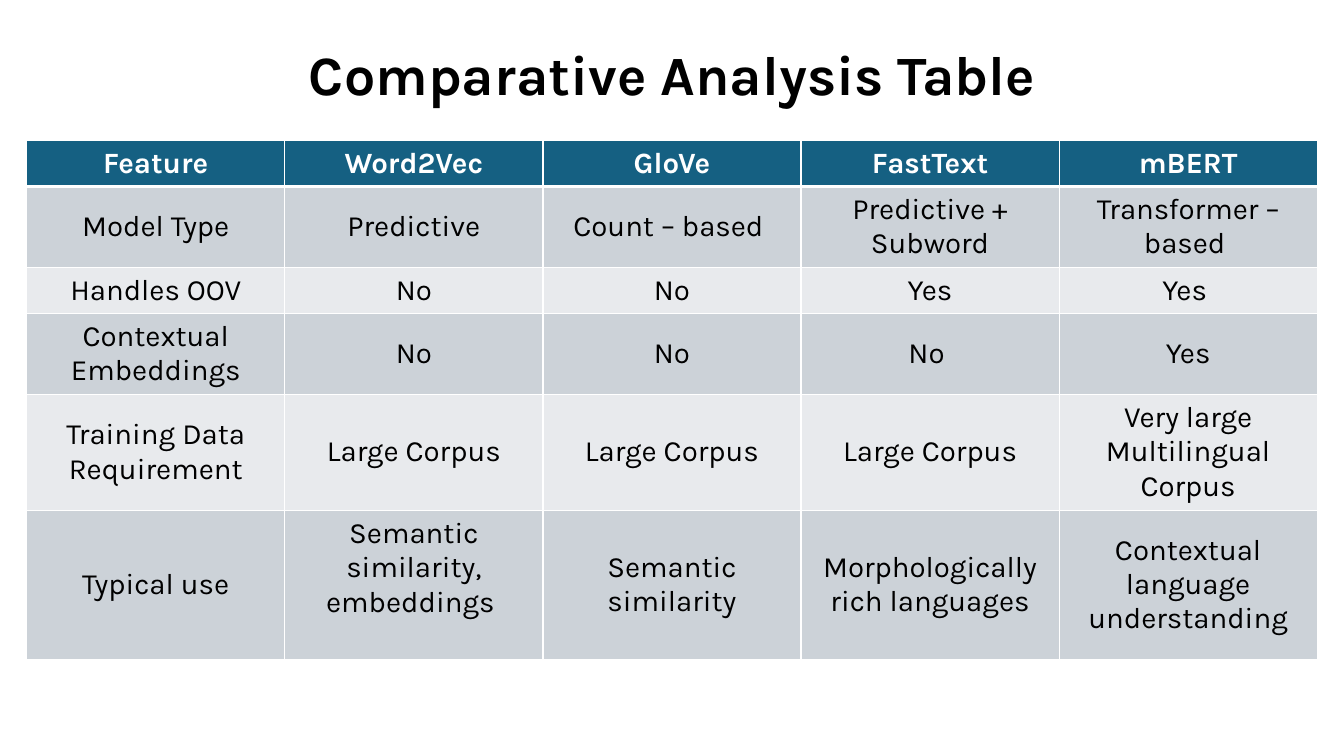
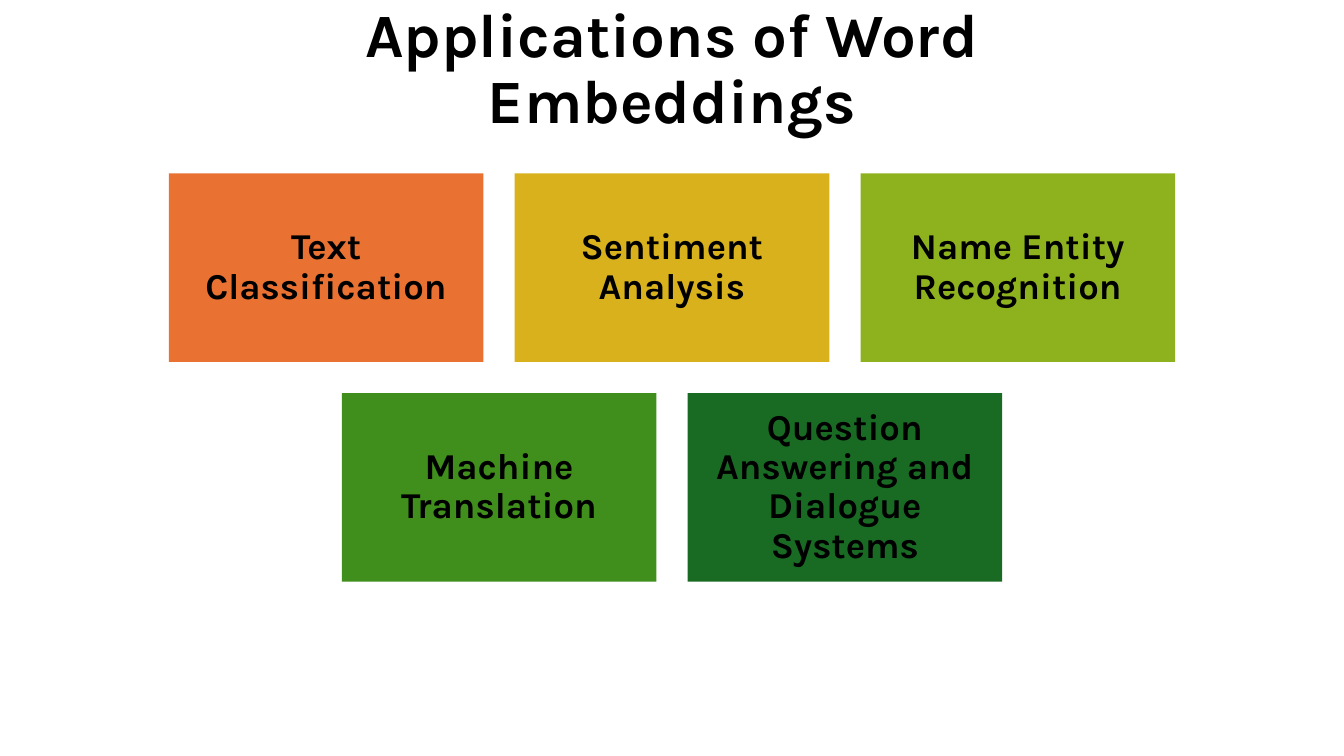
from lxml import etree
from pptx import Presentation
from pptx.dml.color import RGBColor
from pptx.enum.shapes import MSO_SHAPE
from pptx.enum.text import MSO_ANCHOR, PP_ALIGN
from pptx.oxml.ns import qn
from pptx.util import Inches, Pt

RECT = MSO_SHAPE.RECTANGLE
MIDDLE = MSO_ANCHOR.MIDDLE
CENTER = PP_ALIGN.CENTER
FONT = "Karla"
W, H = 13.33, 7.5
COLORS = {
    "white": "FFFFFF", "black": "000000", "header": "156082",
    "dark_band": "CCD2D8", "light_band": "E8EAED",
    "orange": "E97132", "gold": "D8B11D", "lime": "8EB21E",
    "green": "408E1C", "forest": "196B24",
}

COL_W = 2.56
LINE_H, ROW_PAD = 0.33, 0.13
ROW_LINES = (1, 2, 1, 2, 3, 4)
TABLE = (
    ("Feature", "Word2Vec", "GloVe", "FastText", "mBERT"),
    ("Model Type", "Predictive", "Count – based ", "Predictive + Subword", "Transformer – based "),
    ("Handles OOV", "No", "No", "Yes", "Yes "),
    ("Contextual Embeddings", "No", "No", "No ", "Yes"),
    ("Training Data Requirement", "Large Corpus", "Large Corpus", "Large Corpus",
     "Very large Multilingual Corpus"),
    ("Typical use", "Semantic similarity, embeddings ", "Semantic similarity",
     "Morphologically rich languages", "Contextual language understanding"),
)

TILE_W, TILE_H, GAP = 3.12, 1.87, 0.31
TILE_ROWS = (
    (("Text Classification", "orange"), ("Sentiment Analysis", "gold"),
     ("Name Entity Recognition", "lime")),
    (("Machine Translation", "green"),
     ("Question Answering and Dialogue Systems", "forest")),
)


def rgb(name):
    """Return the named palette colour."""
    return RGBColor.from_string(COLORS[name])


def write(tf, text, size, color="black", bold=True, spacing=None):
    """Write one centred run in the first paragraph of a text frame."""
    tf.word_wrap = True
    p = tf.paragraphs[0]
    p.alignment = CENTER
    if spacing:
        p.line_spacing = spacing
    r = p.add_run()
    r.text = text
    r.font.name, r.font.size, r.font.bold = FONT, Pt(size), bold
    r.font.color.rgb = rgb(color)


def add_title(s, text, size, top, width, height):
    """Add a title centred across the slide."""
    box = s.shapes.add_textbox(Inches((W - width) / 2), Inches(top), Inches(width), Inches(height))
    box.text_frame.vertical_anchor = MIDDLE
    write(box.text_frame, text, size, spacing=0.9)


def set_borders(cell, top=1, bottom=1):
    """Draw white borders, in points, around a table cell."""
    tc_pr = cell._tc.get_or_add_tcPr()
    for side, width in (("L", 1), ("R", 1), ("T", top), ("B", bottom)):
        ln = etree.SubElement(tc_pr, qn(f"a:ln{side}"), w=str(Pt(width)))
        fill = etree.SubElement(ln, qn("a:solidFill"))
        etree.SubElement(fill, qn("a:srgbClr"), val=COLORS["white"])


def fill_cell(cell, text, row):
    """Style and write one cell according to its row."""
    set_borders(cell, top=3 if row == 1 else 1, bottom=3 if row == 0 else 1)
    band = "header" if row == 0 else "dark_band" if row % 2 else "light_band"
    cell.fill.solid()
    cell.fill.fore_color.rgb = rgb(band)
    cell.vertical_anchor = MIDDLE
    write(cell.text_frame, text, 21, "black" if row else "white", bold=row == 0)


def add_comparison(s, top):
    """Add the comparison table with rows sized by their line count."""
    cols = len(TABLE[0])
    width = COL_W * cols
    heights = [ROW_PAD + LINE_H * n for n in ROW_LINES]
    table = s.shapes.add_table(len(TABLE), cols, Inches((W - width) / 2), Inches(top),
                               Inches(width), Inches(sum(heights))).table
    for col in table.columns:
        col.width = Inches(COL_W)
    for i, texts in enumerate(TABLE):
        table.rows[i].height = Inches(heights[i])
        for j, text in enumerate(texts):
            fill_cell(table.cell(i, j), text, i)
    table.cell(len(TABLE) - 1, 1).margin_bottom = Inches(0.05 + LINE_H)


def add_tile(s, text, color, x, y):
    """Add one coloured tile with a centred label."""
    sp = s.shapes.add_shape(RECT, Inches(x), Inches(y), Inches(TILE_W), Inches(TILE_H))
    sp.shadow.inherit = False
    sp.fill.solid()
    sp.fill.fore_color.rgb = rgb(color)
    sp.line.fill.background()
    tf = sp.text_frame
    tf.vertical_anchor = MIDDLE
    tf.margin_left = tf.margin_right = tf.margin_top = tf.margin_bottom = Inches(0.11)
    write(tf, text, 26, spacing=0.9)


def add_tiles(s, top):
    """Lay out the tile rows, each centred on the slide."""
    for i, tiles in enumerate(TILE_ROWS):
        left = (W - len(tiles) * (TILE_W + GAP) + GAP) / 2
        for j, (text, color) in enumerate(tiles):
            add_tile(s, text, color, left + j * (TILE_W + GAP), top + i * (TILE_H + GAP))


def main():
    """Build and save both slides."""
    prs = Presentation()
    prs.slide_width, prs.slide_height = Inches(W), Inches(H)
    blank = prs.slide_layouts[6]
    s = prs.slides.add_slide(blank)
    add_title(s, "Comparative Analysis Table", 39.6, 0.4, 11.5, 0.73)
    add_comparison(s, 1.39)
    s = prs.slides.add_slide(blank)
    add_title(s, "Applications of Word Embeddings", 44, 0.16, 9.04, 1.08)
    add_tiles(s, 1.72)
    prs.save("out.pptx")


if __name__ == "__main__":
    main()
